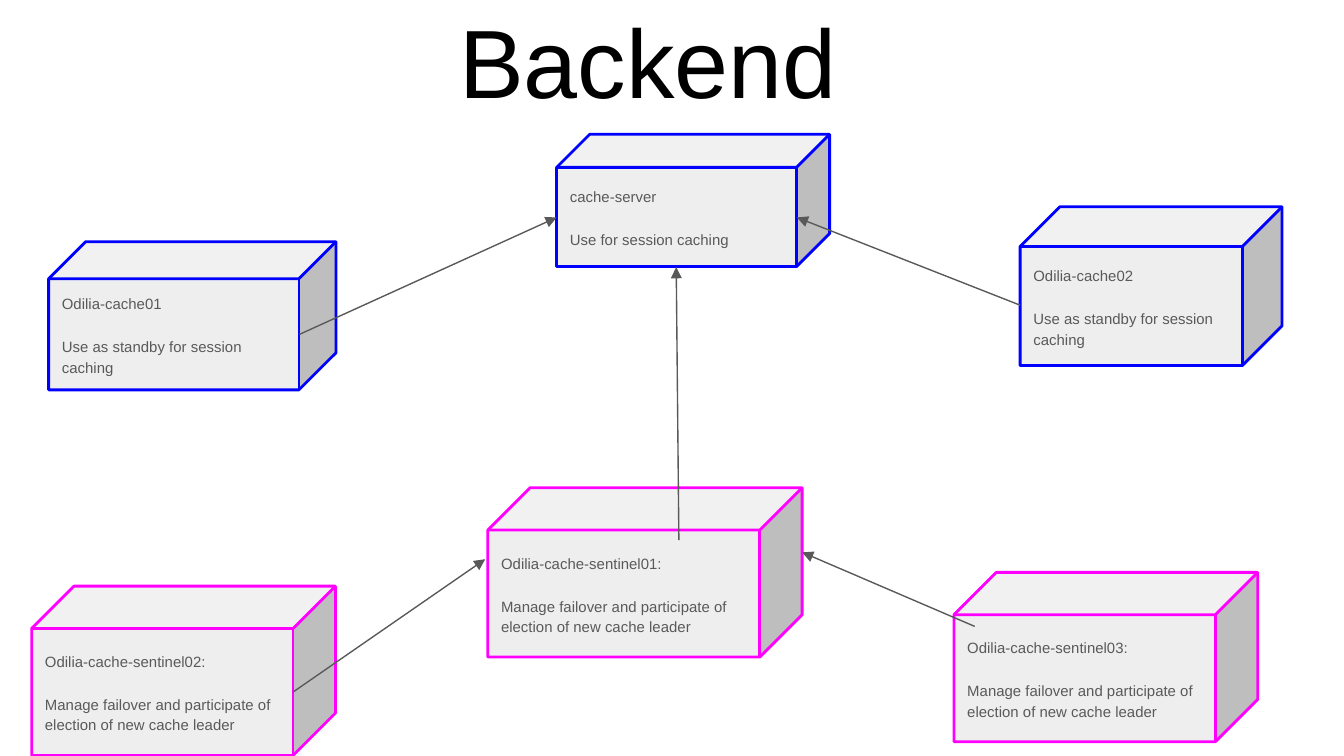
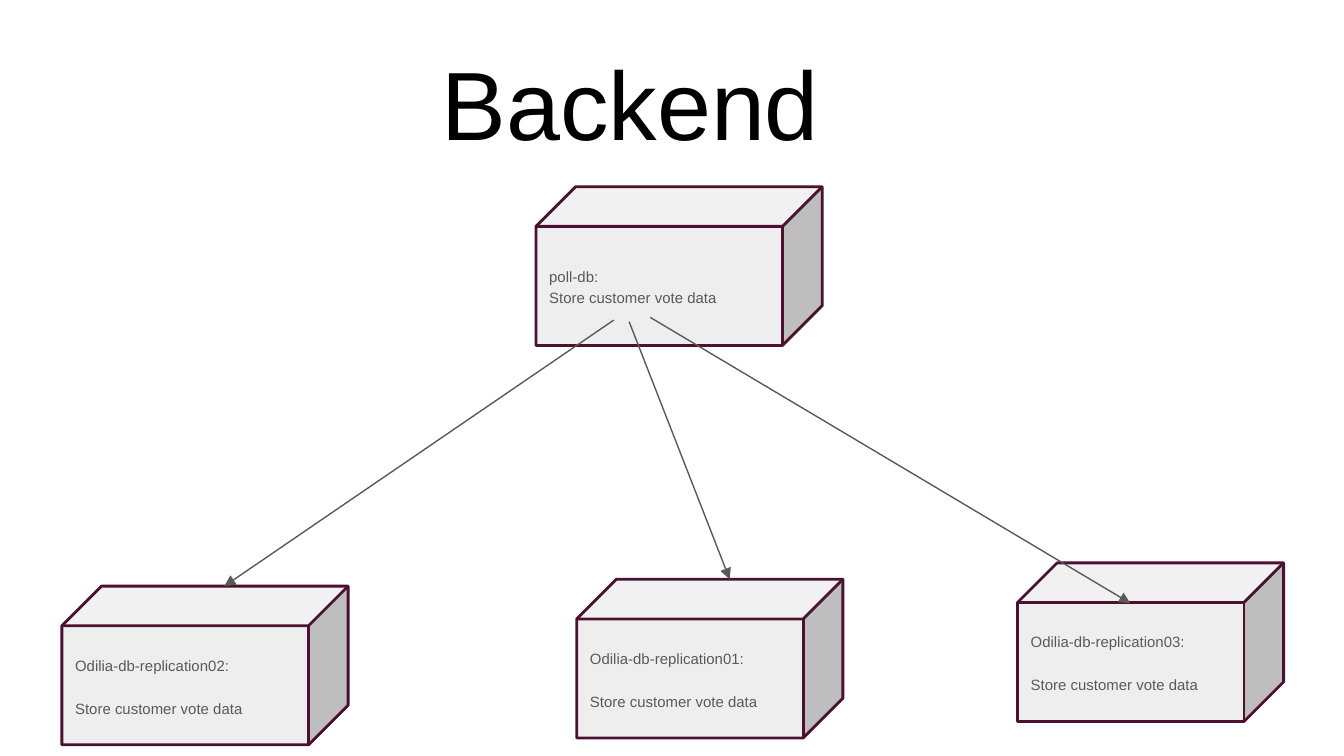
from lxml.etree import SubElement
from pptx import Presentation
from pptx.dml.color import RGBColor
from pptx.enum.shapes import MSO_CONNECTOR as Connector, MSO_SHAPE as Shape
from pptx.enum.text import MSO_ANCHOR as Anchor, MSO_AUTO_SIZE as AutoSize, PP_ALIGN as Align
from pptx.oxml.ns import qn
from pptx.util import Cm, Pt

BLACK = RGBColor(0x00, 0x00, 0x00)
GREY = RGBColor(0x59, 0x59, 0x59)
PALE = RGBColor(0xEE, 0xEE, 0xEE)
BLUE = RGBColor(0x00, 0x00, 0xFF)
MAGENTA = RGBColor(0xFF, 0x00, 0xFF)
PLUM = RGBColor(0x4C, 0x11, 0x30)


class Diagram:
    font = "Arial"
    inset = 0.25
    title_only = 5

    def __init__(self, presentation):
        self.presentation = presentation
        self.slide = None

    def add_slide(self, title, left, top):
        layout = self.presentation.slide_layouts[self.title_only]
        self.slide = self.presentation.slides.add_slide(layout)
        shape = self.slide.shapes.title
        shape.left, shape.top = Cm(left), Cm(top)
        shape.width, shape.height = Cm(14.63), Cm(2.51)
        frame = self.prepare_frame(shape, Anchor.BOTTOM)
        paragraph = frame.paragraphs[0]
        paragraph.alignment = Align.CENTER
        paragraph.line_spacing = 0.9
        self.add_run(paragraph, title, 52, BLACK)

    def prepare_frame(self, shape, anchor):
        frame = shape.text_frame
        frame.word_wrap = True
        frame.auto_size = AutoSize.NONE
        frame.vertical_anchor = anchor
        frame.margin_left = frame.margin_right = Cm(self.inset)
        frame.margin_top = frame.margin_bottom = Cm(self.inset)
        return frame

    def add_run(self, paragraph, text, size, color):
        run = paragraph.add_run()
        run.text = text
        run.font.name = self.font
        run.font.size = Pt(size)
        run.font.color.rgb = color

    def add_cube(self, box, color, name, role, same_paragraph=False):
        shape = self.slide.shapes.add_shape(Shape.CUBE, *map(Cm, box))
        shape.shadow.inherit = False
        shape.fill.solid()
        shape.fill.fore_color.rgb = PALE
        shape.line.color.rgb = color
        shape.line.width = Pt(1.5)
        frame = self.prepare_frame(shape, Anchor.MIDDLE)
        paragraph = frame.paragraphs[0]
        self.add_run(paragraph, name, 8, GREY)
        if same_paragraph:
            paragraph.add_line_break()
        else:
            paragraph = frame.add_paragraph()
            paragraph.space_before = Pt(12)
        self.add_run(paragraph, role, 8, GREY)
        paragraph.space_after = Pt(12)
        for paragraph in frame.paragraphs:
            paragraph.alignment = Align.LEFT
            paragraph.line_spacing = 1.15

    def add_arrow(self, start, end):
        connector = self.slide.shapes.add_connector(
            Connector.STRAIGHT, *map(Cm, start + end))
        connector.line.color.rgb = GREY
        connector.line.width = Pt(0.75)
        line = connector.line._get_or_add_ln()
        SubElement(line, qn("a:tailEnd"), type="triangle")
        SubElement(connector._element.spPr, qn("a:effectLst"))


presentation = Presentation()
presentation.slide_width = Cm(25.4)
presentation.slide_height = Cm(14.29)
diagram = Diagram(presentation)

SENTINEL_ROLE = "Manage failover and participate of election of new cache leader"
STANDBY_ROLE = "Use as standby for session caching"
STORE_ROLE = "Store customer vote data"

diagram.add_slide("Backend", 4.93, 0)
for box, color, name, role in (
    ((9.22, 9.22, 5.94, 3.2), MAGENTA, "Odilia-cache-sentinel01:", SENTINEL_ROLE),
    ((10.52, 2.54, 5.16, 2.5), BLUE, "cache-server", "Use for session caching"),
    ((19.28, 3.91, 4.95, 3), BLUE, "Odilia-cache02", STANDBY_ROLE),
    ((0.92, 4.57, 5.43, 2.8), BLUE, "Odilia-cache01", STANDBY_ROLE),
    ((18.03, 10.82, 5.74, 3.2), MAGENTA, "Odilia-cache-sentinel03:", SENTINEL_ROLE),
    ((0.6, 11.08, 5.74, 3.2), MAGENTA, "Odilia-cache-sentinel02:", SENTINEL_ROLE),
):
    diagram.add_cube(box, color, name, role)
for start, end in (
    ((5.66, 6.32), (10.52, 4.11)),
    ((19.28, 5.77), (15.06, 4.11)),
    ((12.83, 10.21), (12.78, 5.05)),
    ((5.54, 13.08), (9.17, 10.57)),
    ((18.42, 11.84), (15.16, 10.44)),
):
    diagram.add_arrow(start, end)

diagram.add_slide("Backend", 4.6, 0.79)
diagram.add_cube((10.13, 3.53, 5.41, 3), PLUM, "poll-db:", STORE_ROLE, same_paragraph=True)
for number, left, top, width in (
    (1, 10.9, 10.95, 5.03),
    (2, 1.17, 11.08, 5.41),
    (3, 19.23, 10.64, 5.03),
):
    diagram.add_cube((left, top, width, 3), PLUM,
                     f"Odilia-db-replication{number:02}:", STORE_ROLE)
for start, end in (
    ((11.6, 6.05), (4.24, 11.08)),
    ((11.89, 6.08), (13.79, 10.95)),
    ((12.29, 6), (21.36, 11.4)),
):
    diagram.add_arrow(start, end)

presentation.save("out.pptx")
